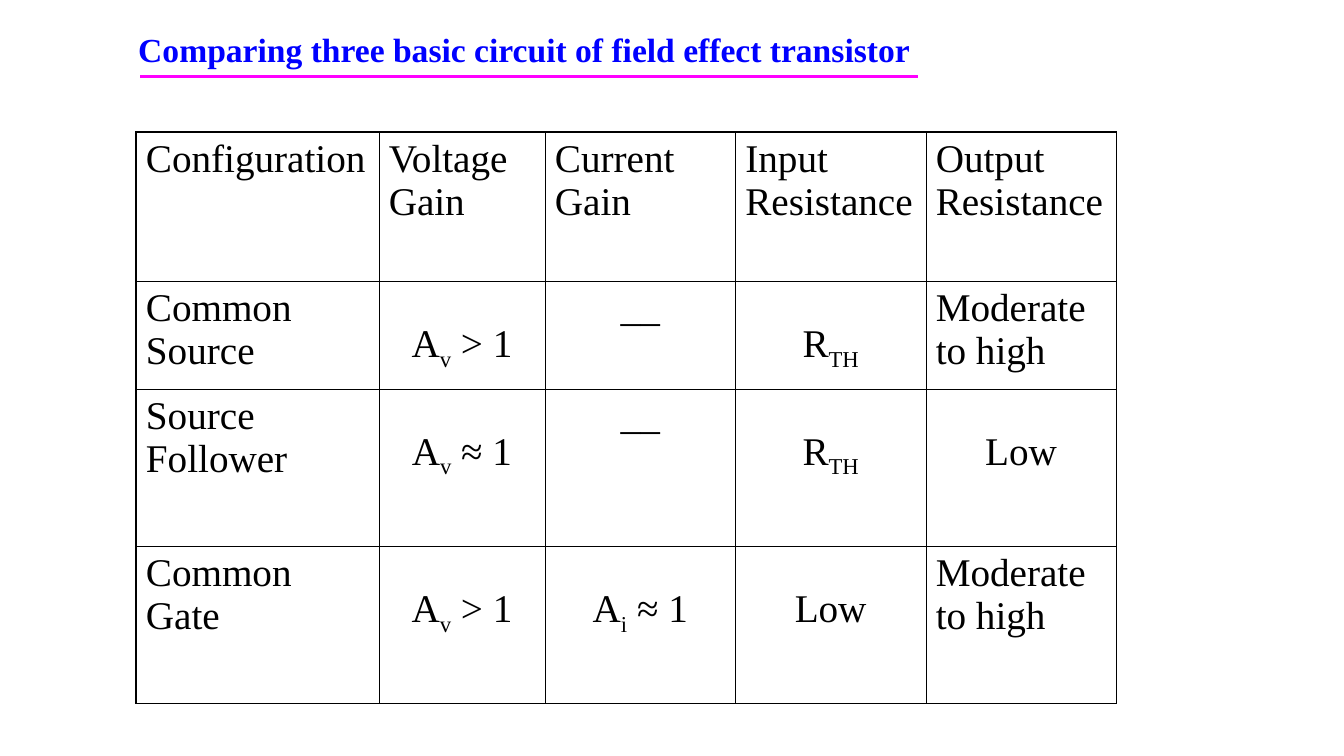
from dataclasses import dataclass

from lxml import etree
from pptx import Presentation
from pptx import util as u
from pptx.dml.color import RGBColor
from pptx.enum import shapes, text
from pptx.oxml import ns


@dataclass(frozen=True)
class Theme:
    font: str = "Times New Roman"
    ink: str = "000000"
    head: str = "0000FF"
    rule: str = "FF00FF"
    title: int = 24
    body: int = 28
    outer: float = 1.08
    inner: float = 0.45
    under: float = 2.25


@dataclass(frozen=True)
class Entry:
    words: tuple
    align: int = text.PP_ALIGN.LEFT
    top: float = 0.13


THEME = Theme()
COLS = (6.12, 4.19, 4.8, 4.8, 4.8)
ROWS = (3.76, 2.72, 3.96, 3.96)


def left(phrase):
    return Entry((phrase,))


def mid(*words, top=1.03):
    """Centred entry, set lower in its cell; every second word is a subscript."""
    return Entry(words, text.PP_ALIGN.CENTER, top)


DASH = mid("__", top=0.13)
HIGH = left("Moderate to high")
LOW = mid("Low")
RTH = mid("R", "TH")
GAIN = mid("A", "v", " > 1")
UNIT = mid("A", "v", " ≈ 1")
HEADS = ("Configuration", "Voltage Gain", "Current Gain",
         "Input Resistance", "Output Resistance")
GRID = (
    tuple(left(head) for head in HEADS),
    (left("Common Source"), GAIN, DASH, RTH, HIGH),
    (left("Source Follower"), UNIT, DASH, RTH, LOW),
    (left("Common Gate"), GAIN, mid("A", "i", " ≈ 1"), LOW, HIGH),
)


def write(frame, words, size=THEME.body, color=THEME.ink, bold=False,
          align=text.PP_ALIGN.LEFT):
    """Fill a text frame; every second word is a subscript."""
    para = frame.paragraphs[0]
    para.alignment = align
    for i, word in enumerate(words):
        run = para.add_run()
        run.text = word
        font = run.font
        font.name, font.size, font.bold = THEME.font, u.Pt(size), bold
        font.color.rgb = RGBColor.from_string(color)
        if i % 2:
            run._r.get_or_add_rPr().set("baseline", "-25000")


def border(cell, side, width):
    props = cell._tc.get_or_add_tcPr()
    line = etree.SubElement(props, ns.qn(f"a:ln{side}"), w=str(u.Pt(width)))
    fill = etree.SubElement(line, ns.qn("a:solidFill"))
    etree.SubElement(fill, ns.qn("a:srgbClr"), val=THEME.ink)


def add_title(slide, phrase):
    title = slide.shapes.title
    title.left, title.top = u.Cm(3.23), u.Cm(0.33)
    title.width, title.height = u.Cm(20.5), u.Cm(1.8)
    frame = title.text_frame
    frame.word_wrap = True
    frame.auto_size = text.MSO_AUTO_SIZE.NONE
    frame.vertical_anchor = text.MSO_ANCHOR.MIDDLE
    write(frame, (phrase,), size=THEME.title, color=THEME.head, bold=True)


def add_rule(slide, x1, x2, y):
    rule = slide.shapes.add_connector(
        shapes.MSO_CONNECTOR.STRAIGHT, u.Cm(x1), u.Cm(y), u.Cm(x2), u.Cm(y))
    rule.line.color.rgb = RGBColor.from_string(THEME.rule)
    rule.line.width = u.Pt(THEME.under)
    etree.SubElement(rule._element.spPr, ns.qn("a:effectLst"))


def fill_cell(cell, entry, edges):
    cell.margin_left = cell.margin_right = u.Cm(0.25)
    cell.margin_top, cell.margin_bottom = u.Cm(entry.top), u.Cm(0.13)
    cell.vertical_anchor = text.MSO_ANCHOR.TOP
    for side, outer in edges.items():
        border(cell, side, THEME.outer if outer else THEME.inner)
    cell.fill.background()
    write(cell.text_frame, entry.words, align=entry.align)


def add_grid(slide, x, y):
    table = slide.shapes.add_table(
        len(ROWS), len(COLS), u.Cm(x), u.Cm(y),
        u.Cm(sum(COLS)), u.Cm(sum(ROWS))).table
    table.first_row = table.horz_banding = False
    for col, width in zip(table.columns, COLS):
        col.width = u.Cm(width)
    for row, height in zip(table.rows, ROWS):
        row.height = u.Cm(height)
    for r, line in enumerate(GRID):
        for c, entry in enumerate(line):
            edges = {"L": c == 0, "R": c == len(COLS) - 1,
                     "T": r == 0, "B": r == len(ROWS) - 1}
            fill_cell(table.cell(r, c), entry, edges)


def main():
    deck = Presentation()
    deck.slide_width, deck.slide_height = u.Cm(33.88), u.Cm(19.05)
    slide = deck.slides.add_slide(deck.slide_layouts[5])
    add_title(slide, "Comparing three basic circuit of field effect transistor")
    add_rule(slide, 3.53, 23.14, 1.93)
    add_grid(slide, 3.43, 3.33)
    deck.save("out.pptx")


if __name__ == "__main__":
    main()
